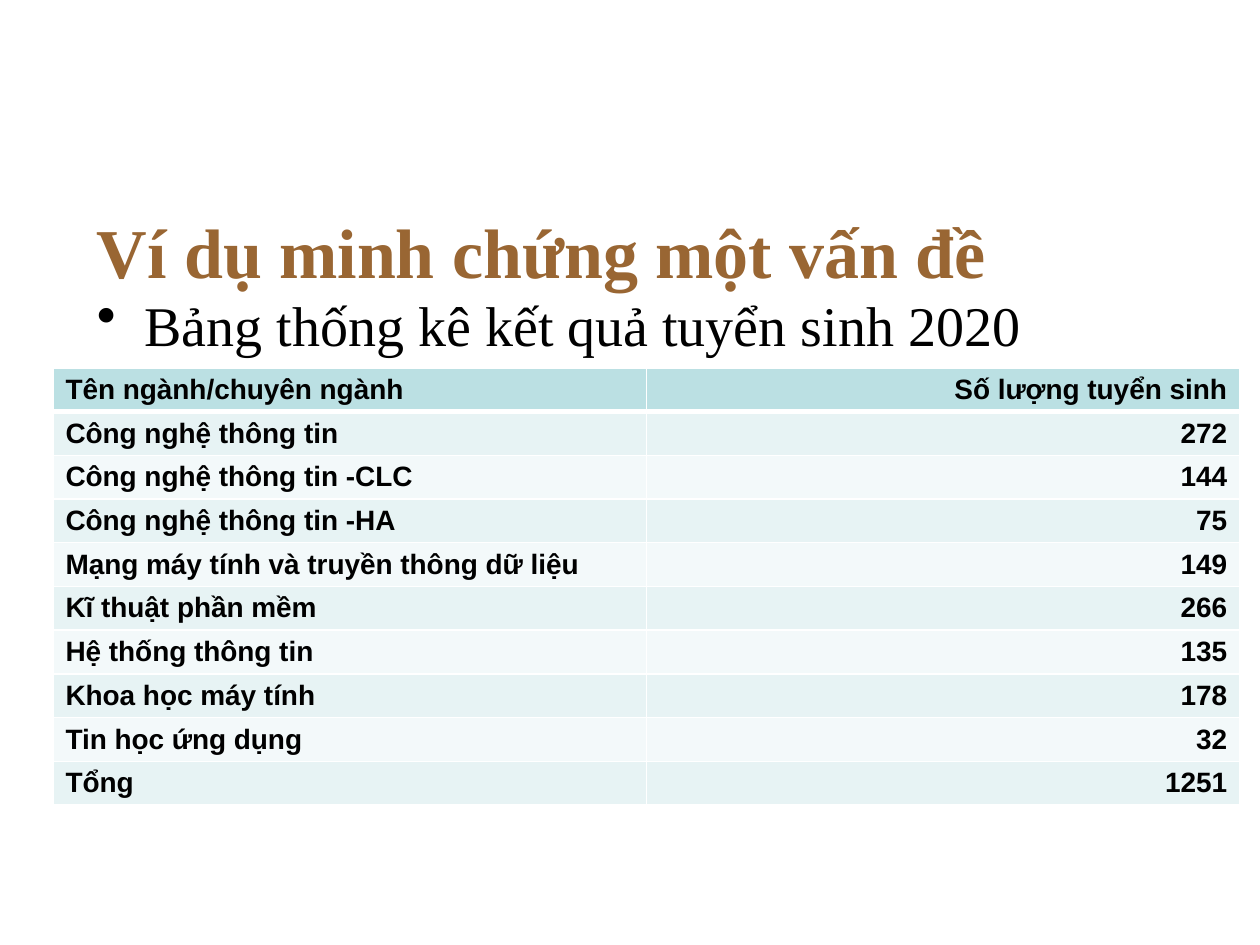
import pptx
import pptx.util
import pptx.dml.color
import pptx.enum.text
import pptx.oxml
import pptx.oxml.ns

Inches = pptx.util.Inches
Pt = pptx.util.Pt
RGB = pptx.dml.color.RGBColor
Anchor = pptx.enum.text.MSO_ANCHOR
Align = pptx.enum.text.PP_ALIGN

BROWN = RGB(0x99, 0x66, 0x33)
BLACK = RGB(0, 0, 0)
WHITE = RGB(255, 255, 255)
TEAL = RGB(0xBB, 0xE0, 0xE3)
BANDS = [RGB(0xE7, 0xF3, 0xF4), RGB(0xF3, 0xF9, 0xFA)]

ROWS = [
    ("Tên ngành/chuyên ngành", "Số lượng tuyển sinh"),
    ("Công nghệ thông tin", "272"),
    ("Công nghệ thông tin -CLC", "144"),
    ("Công nghệ thông tin -HA", "75"),
    ("Mạng máy tính và truyền thông dữ liệu", "149"),
    ("Kĩ thuật phần mềm", "266"),
    ("Hệ thống thông tin", "135"),
    ("Khoa học máy tính", "178"),
    ("Tin học ứng dụng", "32"),
    ("Tổng", "1251"),
]


def set_font(para, name, size, color, bold=False):
    para.font.name = name
    para.font.size = Pt(size)
    para.font.color.rgb = color
    para.font.bold = bold


def add_text(slide, text, box, anchor):
    frame = slide.shapes.add_textbox(*map(Inches, box)).text_frame
    frame.word_wrap = True
    frame.vertical_anchor = anchor
    para = frame.paragraphs[0]
    para.text = text
    return para


def set_bullet(para, indent):
    props = para._p.get_or_add_pPr()
    props.set("marL", str(Inches(indent)))
    props.set("indent", str(-Inches(indent)))
    mark = pptx.oxml.parse_xml(
        f'<a:buChar {pptx.oxml.ns.nsdecls("a")} char="•"/>')
    props.insert_element_before(mark, "a:tabLst", "a:defRPr", "a:extLst")


def set_border(cell, side, width):
    line = pptx.oxml.parse_xml(
        f'<a:{side} {pptx.oxml.ns.nsdecls("a")} w="{Pt(width)}">'
        f'<a:solidFill><a:srgbClr val="{WHITE}"/></a:solidFill></a:{side}>')
    cell._tc.get_or_add_tcPr().append(line)


def fill_cell(cell, text, row, col):
    cell.text = text
    cell.vertical_anchor = Anchor.MIDDLE
    cell.margin_top = cell.margin_bottom = Inches(0.04)
    para = cell.text_frame.paragraphs[0]
    para.alignment = Align.RIGHT if col else Align.LEFT
    set_font(para, "Arial", 16, BLACK, True)
    for side in ("lnL", "lnR", "lnT", "lnB"):
        thick = (row, side) in ((0, "lnB"), (1, "lnT"))
        set_border(cell, side, 3 if thick else 1)
    cell.fill.solid()
    cell.fill.fore_color.rgb = BANDS[(row - 1) % 2] if row else TEAL


def add_grid(slide, rows, box):
    table = slide.shapes.add_table(
        len(rows), len(rows[0]), *map(Inches, box)).table
    for row, texts in enumerate(rows):
        for col, text in enumerate(texts):
            fill_cell(table.cell(row, col), text, row, col)


def main():
    deck = pptx.Presentation()
    deck.slide_width = Inches(10)
    deck.slide_height = Inches(7.5)
    slide = deck.slides.add_slide(deck.slide_layouts[6])

    title = add_text(slide, "Ví dụ minh chứng một vấn đề",
                     (0.67, 1.58, 7.75, 0.82), Anchor.MIDDLE)
    set_font(title, "Times New Roman", 40, BROWN, True)

    body = add_text(slide, "Bảng thống kê kết quả tuyển sinh 2020",
                    (0.67, 2.4, 9, 4.3), Anchor.TOP)
    set_font(body, "Times New Roman", 32, BLACK)
    body.line_spacing = 0.7
    body.space_before = Pt(4)
    set_bullet(body, 0.38)

    add_grid(slide, ROWS, (0.42, 2.92, 9.42, 3.47))
    deck.save("out.pptx")


if __name__ == "__main__":
    main()
